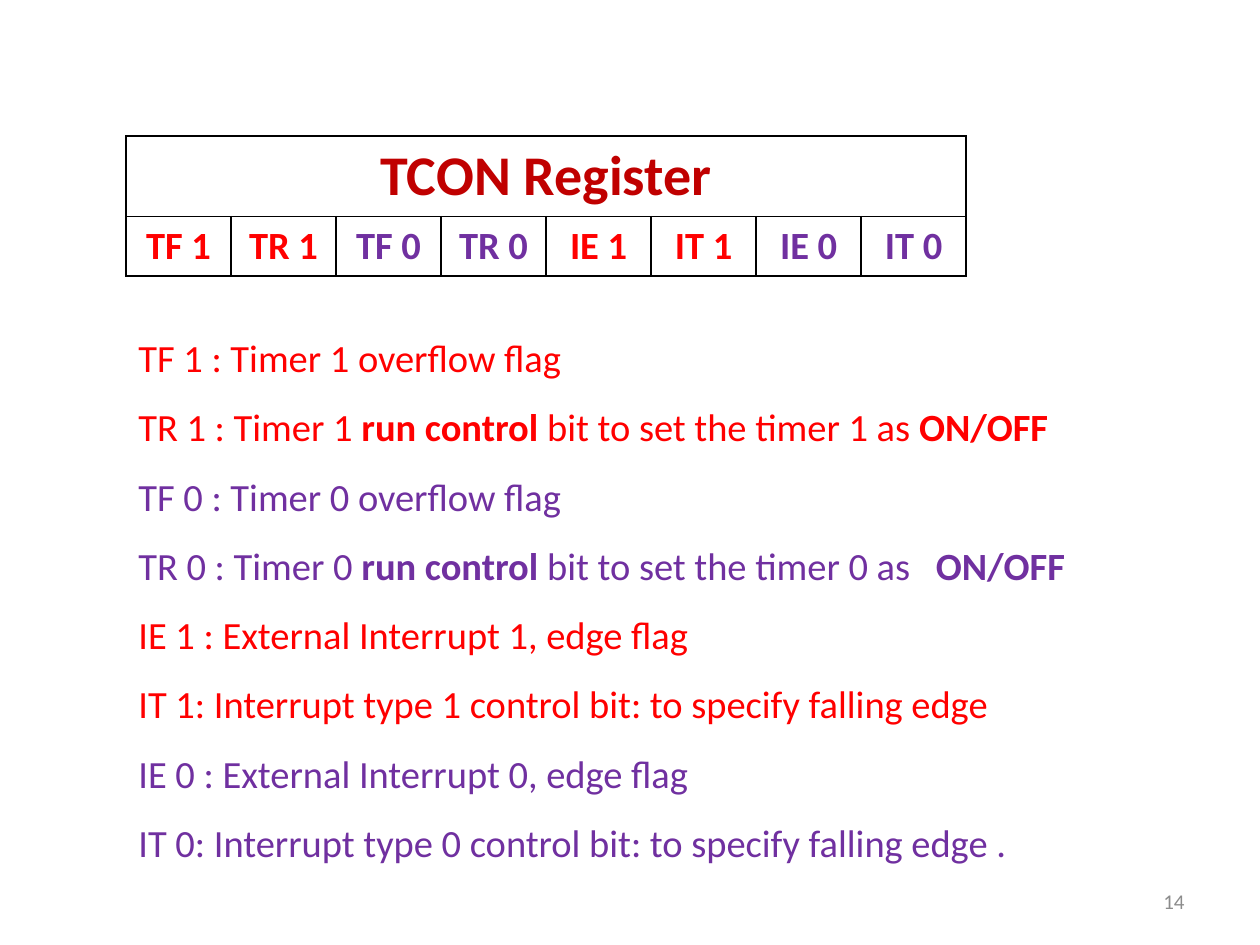
from lxml import etree
from pptx import Presentation
from pptx.dml.color import RGBColor
from pptx.enum.text import MSO_ANCHOR as Anchor, MSO_AUTO_SIZE as AutoSize, PP_ALIGN as Align
from pptx.oxml.ns import qn
from pptx.util import Inches, Pt

FONT = "Calibri"
RED = RGBColor(0xFF, 0x00, 0x00)
PURPLE = RGBColor(0x70, 0x30, 0xA0)
DARK_RED = RGBColor(0xC0, 0x00, 0x00)
GREY = RGBColor(0x8C, 0x8C, 0x8C)
BLACK = RGBColor(0x00, 0x00, 0x00)

# Bits of timer 1 are red, bits of timer 0 purple
BITS = [("TF 1", RED), ("TR 1", RED), ("TF 0", PURPLE), ("TR 0", PURPLE),
        ("IE 1", RED), ("IT 1", RED), ("IE 0", PURPLE), ("IT 0", PURPLE)]

# Each description is a list of (text, bold) runs
DESCRIPTIONS = [
    (RED, [("TF 1 : Timer 1 overflow flag", False)]),
    (RED, [("TR 1 : Timer 1 ", False), ("run control ", True),
           ("bit to set the timer 1 as ", False), ("ON/OFF", True)]),
    (PURPLE, [("TF 0 : Timer 0 overflow flag", False)]),
    (PURPLE, [("TR 0 : Timer 0 ", False), ("run control ", True),
              ("bit to set the timer 0 as\t", False), ("ON/OFF", True)]),
    (RED, [("IE 1 : External Interrupt 1, edge flag", False)]),
    (RED, [("IT 1: Interrupt type 1 control bit: to specify falling edge", False)]),
    (PURPLE, [("IE 0 : External Interrupt 0, edge flag", False)]),
    (PURPLE, [("IT 0: Interrupt type 0 control bit: to specify falling edge .", False)]),
]


def add_run(paragraph, text, size, color, bold=False):
    run = paragraph.add_run()
    run.text = text
    run.font.name = FONT
    run.font.size = Pt(size)
    run.font.bold = bold
    run.font.color.rgb = color


def add_tab_stop(paragraph, position):
    properties = paragraph._p.get_or_add_pPr()
    tabs = etree.SubElement(properties, qn("a:tabLst"))
    etree.SubElement(tabs, qn("a:tab"), pos=str(position), algn="l")


def set_borders(cell, color, width):
    properties = cell._tc.get_or_add_tcPr()
    for index, side in enumerate(("lnL", "lnR", "lnT", "lnB")):
        line = etree.Element(qn(f"a:{side}"), w=str(Pt(width)))
        fill = etree.SubElement(line, qn("a:solidFill"))
        etree.SubElement(fill, qn("a:srgbClr"), val=str(color))
        properties.insert(index, line)


def add_register_table(slide, left, top, width, row_heights):
    table = slide.shapes.add_table(2, len(BITS), left, top, width, sum(row_heights)).table
    table.first_row = False
    table.horz_banding = False
    for row, height in zip(table.rows, row_heights):
        row.height = height
    for cell in table.iter_cells():
        cell.fill.background()
        set_borders(cell, BLACK, 1)

    # Title row across all bits
    title = table.cell(0, 0)
    title.merge(table.cell(0, len(BITS) - 1))
    contents = [(title, "TCON Register", 32, DARK_RED)]
    contents += [(table.cell(1, column), name, 22, color)
                 for column, (name, color) in enumerate(BITS)]
    for cell, text, size, color in contents:
        paragraph = cell.text_frame.paragraphs[0]
        paragraph.alignment = Align.CENTER
        add_run(paragraph, text, size, color, bold=True)


def add_descriptions(slide, left, top, width, height):
    frame = slide.shapes.add_textbox(left, top, width, height).text_frame
    frame.word_wrap = False
    frame.auto_size = AutoSize.SHAPE_TO_FIT_TEXT
    for index, (color, runs) in enumerate(DESCRIPTIONS):
        paragraph = frame.add_paragraph() if index else frame.paragraphs[0]
        if any("\t" in text for text, _ in runs):
            add_tab_stop(paragraph, Inches(6.33))
        paragraph.line_spacing = 1.5
        for text, bold in runs:
            add_run(paragraph, text, 22, color, bold)


def add_page_number(slide, left, top, width, height):
    frame = slide.shapes.add_textbox(left, top, width, height).text_frame
    frame.word_wrap = True
    frame.vertical_anchor = Anchor.MIDDLE
    paragraph = frame.paragraphs[0]
    paragraph.alignment = Align.RIGHT
    add_run(paragraph, "14", 12, GREY)


def main():
    presentation = Presentation()
    presentation.slide_width = Inches(10)
    presentation.slide_height = Inches(7.5)
    slide = presentation.slides.add_slide(presentation.slide_layouts[6])
    add_page_number(slide, Inches(7.17), Inches(6.95), Inches(2.33), Inches(0.4))
    add_register_table(slide, Inches(1), Inches(1.08), Inches(6.67),
                       [Inches(0.64), Inches(0.47)])
    add_descriptions(slide, Inches(1), Inches(2.42), Inches(7.6), Inches(4.54))
    presentation.save("out.pptx")


if __name__ == "__main__":
    main()
